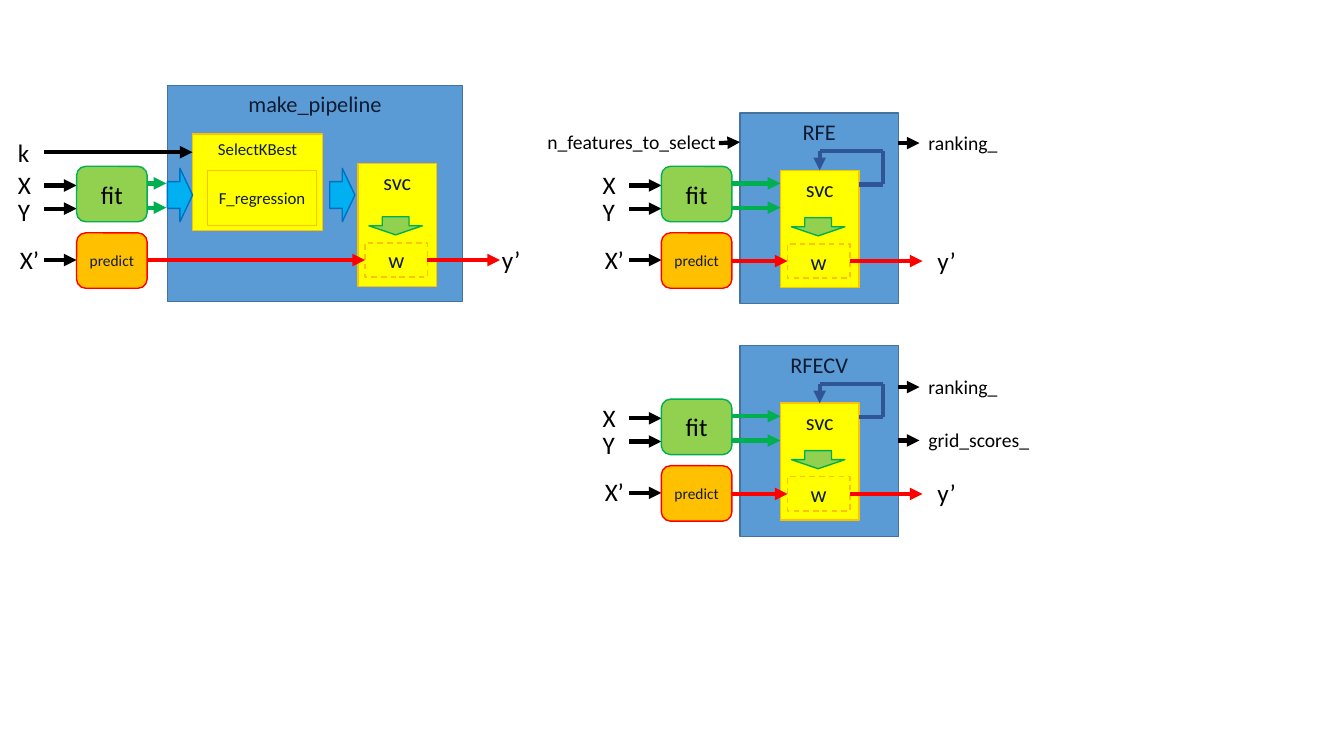
from dataclasses import dataclass

from lxml.etree import SubElement
from pptx import Presentation
from pptx.dml.color import RGBColor
from pptx.enum.dml import MSO_LINE
from pptx.enum.shapes import MSO_CONNECTOR, MSO_SHAPE as SHAPE
from pptx.enum.text import MSO_ANCHOR as ANCHOR, MSO_AUTO_SIZE, PP_ALIGN as ALIGN
from pptx.oxml.ns import qn
from pptx.util import Inches, Pt


@dataclass(frozen=True)
class Theme:
    """Colours, font and sizes of the diagram."""
    font: str = "Calibri"
    black: str = "000000"
    ink: str = "101C32"
    blue: str = "5B9BD5"
    blue_edge: str = "43739E"
    yellow: str = "FFFF00"
    amber: str = "FFC000"
    lime: str = "92D050"
    green: str = "00B050"
    red: str = "FF0000"
    navy: str = "2F5597"
    sky: str = "00B0F0"
    sky_edge: str = "0070C0"
    port: int = 18
    name: int = 16
    attribute: int = 14
    step: int = 12
    method: int = 11
    edge: int = 1
    flow: int = 3


T = Theme()


def rgb(color):
    """Return a colour object for a hex string."""
    return RGBColor.from_string(color)


def write(sp, text, size=T.name, color=T.ink, align=ALIGN.CENTER,
          anchor=ANCHOR.TOP, wrap=True):
    """Put one formatted line of text into a shape."""
    tf = sp.text_frame
    tf.word_wrap = wrap
    tf.vertical_anchor = anchor
    p = tf.paragraphs[0]
    p.alignment = align
    r = p.add_run()
    r.text = text
    r.font.name = T.font
    r.font.size = Pt(size)
    r.font.color.rgb = rgb(color)


def box(s, x, y, w, h, fill, edge, kind=SHAPE.RECTANGLE, text="", dashed=False, **fmt):
    """Add a filled shape, with text if given."""
    sp = s.shapes.add_shape(kind, Inches(x), Inches(y), Inches(w), Inches(h))
    sp.shadow.inherit = False
    sp.fill.solid()
    sp.fill.fore_color.rgb = rgb(fill)
    sp.line.color.rgb = rgb(edge)
    sp.line.width = Pt(T.edge)
    if dashed:
        sp.line.dash_style = MSO_LINE.DASH
    if text:
        write(sp, text, **fmt)


def label(s, x, y, text, w=0.4, size=T.port):
    """Add a free line of text."""
    sp = s.shapes.add_textbox(Inches(x), Inches(y), Inches(w),
                              Inches(0.4 if size == T.port else 0.34))
    write(sp, text, size=size, color=T.black, align=ALIGN.LEFT, wrap=False)
    sp.text_frame.auto_size = MSO_AUTO_SIZE.SHAPE_TO_FIT_TEXT


def line(s, x1, y1, x2, y2, color=T.black, arrow=True):
    """Add a straight line, by default with an arrowhead at its end."""
    c = s.shapes.add_connector(MSO_CONNECTOR.STRAIGHT, Inches(x1), Inches(y1),
                               Inches(x2), Inches(y2))
    c.line.color.rgb = rgb(color)
    c.line.width = Pt(T.flow)
    if arrow:
        SubElement(c.line._get_or_add_ln(), qn("a:tailEnd"), type="triangle")
    SubElement(c._element.spPr, qn("a:effectLst"))


def container(s, x, y, w, h, text):
    """Add the blue block of a meta-estimator."""
    box(s, x, y, w, h, T.blue, T.blue_edge, text=text)


def methods(s, x, y, feed_x):
    """Add fit and predict with their inputs and the feed into the block."""
    for text, dx, dy in (("X", -0.68, -0.02), ("Y", -0.68, 0.25), ("X’", -0.66, 0.72)):
        label(s, x + dx, y + dy, text)
    for dy in (0.19, 0.42, 0.93):
        line(s, x - 0.32, y + dy, x, y + dy)
    for dy in (0.17, 0.41):
        line(s, x + 0.7, y + dy, feed_x, y + dy, T.green)
    for text, dy, fill, edge, size, color in (
            ("fit", 0, T.lime, T.green, T.port, T.black),
            ("predict", 0.66, T.amber, T.red, T.method, T.ink)):
        box(s, x, y + dy, 0.7, 0.55, fill, edge, SHAPE.ROUNDED_RECTANGLE, text,
            size=size, color=color, anchor=ANCHOR.MIDDLE)


def svc(s, x, y, h, predict_x, result_x):
    """Add the svc estimator, its weights and the prediction path."""
    w_x, w_y = x + 0.07, y + h - 0.43
    mid = w_y + 0.17
    box(s, x, y, 0.78, h, T.yellow, T.amber, text="svc")
    box(s, x + 0.11, w_y - 0.26, 0.53, 0.18, T.lime, T.green, SHAPE.DOWN_ARROW)
    box(s, w_x, w_y, 0.62, 0.34, T.yellow, T.amber, text="w", dashed=True,
        anchor=ANCHOR.MIDDLE)
    line(s, predict_x, mid, w_x, mid, T.red)
    line(s, w_x + 0.62, mid, w_x + 1.34, mid, T.red)
    label(s, result_x, w_y - 0.04, "y’")


def loop(s, x, y):
    """Add the elimination loop from the side of svc back to its top."""
    left, right, top, bottom = x + 0.39, x + 1.02, y - 0.19, y + 0.14
    line(s, x + 0.78, bottom, right, bottom, T.navy, arrow=False)
    line(s, right, bottom, right, top, T.navy, arrow=False)
    line(s, right, top, left, top, T.navy, arrow=False)
    line(s, left, top, left, y, T.navy)


def pipeline(s):
    """Add the make_pipeline diagram."""
    container(s, 1.66, 0.85, 2.93, 2.14, "make_pipeline")
    methods(s, 0.76, 1.65, 1.65)
    svc(s, 3.55, 1.62, 1.22, 1.46, 4.88)
    box(s, 1.91, 1.33, 1.29, 0.96, T.yellow, T.amber, text="SelectKBest", size=T.step)
    box(s, 2.06, 1.69, 1.08, 0.55, T.yellow, T.amber, text="F_regression",
        size=T.step, anchor=ANCHOR.MIDDLE)
    for x in (1.66, 3.27):
        box(s, x, 1.67, 0.25, 0.53, T.sky, T.sky_edge, SHAPE.RIGHT_ARROW)
    label(s, 0.08, 1.31, "k")
    line(s, 0.44, 1.51, 1.91, 1.51)


def elimination(s, y, name, outputs):
    """Add a recursive elimination diagram with its output attributes."""
    container(s, 7.34, y, 1.57, 1.89, name)
    methods(s, 6.56, y + 0.53, 7.74)
    svc(s, 7.74, y + 0.57, 1.16, 7.26, 9.2)
    loop(s, 7.74, y + 0.57)
    for text, out_y, w in outputs:
        line(s, 8.91, out_y, 9.12, out_y)
        label(s, 9.11, out_y - 0.17, text, w, T.attribute)


def main():
    """Build and save the slide."""
    prs = Presentation()
    prs.slide_width, prs.slide_height = Inches(13.33), Inches(7.5)
    s = prs.slides.add_slide(prs.slide_layouts[6])
    pipeline(s)
    elimination(s, 1.12, "RFE", [("ranking_", 1.42, 0.89)])
    label(s, 5.33, 1.24, "n_features_to_select", 1.89, T.attribute)
    line(s, 7.13, 1.42, 7.34, 1.41)
    elimination(s, 3.43, "RFECV", [("ranking_", 3.84, 0.89), ("grid_scores_", 4.37, 1.21)])
    prs.save("out.pptx")


main()
